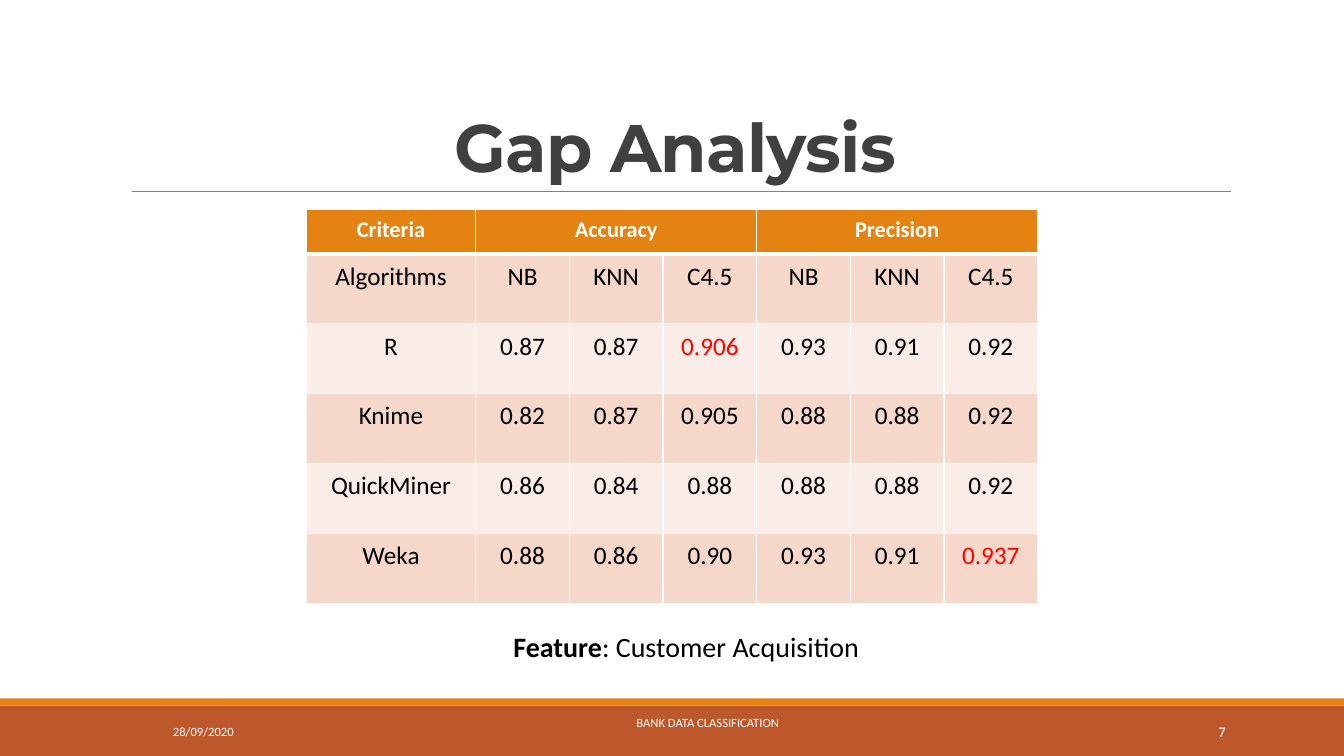
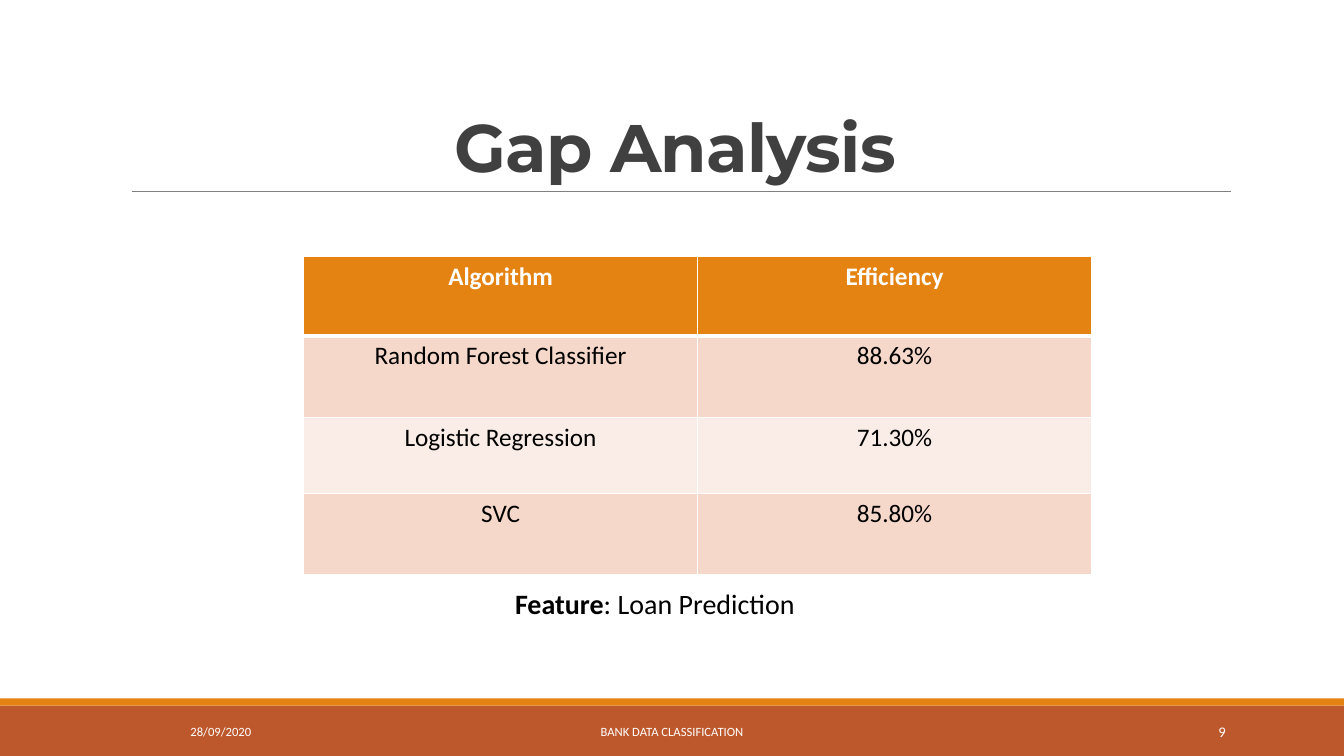
import dataclasses

import pptx
import pptx.dml.color
import pptx.enum.shapes
import pptx.enum.text
import pptx.util
from lxml import etree

Cm = pptx.util.Cm
Pt = pptx.util.Pt
Align = pptx.enum.text.PP_ALIGN
Anchor = pptx.enum.text.MSO_ANCHOR
DRAWING = "http://schemas.openxmlformats.org/drawingml/2006/main"


@dataclasses.dataclass(frozen=True)
class Theme:
    body_font: str = "Calibri"
    title_font: str = "Montserrat"
    white: str = "FFFFFF"
    black: str = "000000"
    title: str = "404040"
    rule: str = "808080"
    band: str = "BD582C"
    accent: str = "E48312"
    row_dark: str = "F5D8CA"
    row_light: str = "FAECE6"
    highlight: str = "FF0000"
    title_size: float = 48
    note_size: float = 20
    cell_size: float = 18
    number_size: float = 10.5
    footer_size: float = 9


THEME = Theme()
WIDTH, HEIGHT = 33.87, 19.05
TITLE = "Gap Analysis"
FOOTER = "BANK DATA CLASSIFICATION"
DATE = "28/09/2020"

PAGES = [
    {
        "number": "7",
        "feature": "Customer Acquisition",
        "feature_at": (3.2, 15.9),
        "date_left": 4.11,
        "footer_at": (9.91, 17.7, 15.85),
        "table_at": (7.72, 5.28),
        "columns": [4.27] + [2.36] * 6,
        "heights": [1.12] + [1.76] * 5,
        "header_size": 16,
        "line_spacing": 1.07,
        "merges": [(1, 3), (4, 6)],
        "highlights": {(2, 3), (5, 6)},
        "rows": [
            ("Criteria", "Accuracy", "", "", "Precision", "", ""),
            ("Algorithms", "NB", "KNN", "C4.5", "NB", "KNN", "C4.5"),
            ("R", "0.87", "0.87", "0.906", "0.93", "0.91", "0.92"),
            ("Knime", "0.82", "0.87", "0.905", "0.88", "0.88", "0.92"),
            ("QuickMiner", "0.86", "0.84", "0.88", "0.88", "0.88", "0.92"),
            ("Weka", "0.88", "0.86", "0.90", "0.93", "0.91", "0.937"),
        ],
    },
    {
        "number": "9",
        "feature": "Loan Prediction",
        "feature_at": (2.41, 14.81),
        "date_left": 4.55,
        "footer_at": (10.24, 17.93, 13.39),
        "table_at": (7.65, 6.45),
        "columns": [9.93] * 2,
        "heights": [2.01, 2.06, 1.91, 2.06],
        "header_size": 18,
        "line_spacing": 1.0,
        "merges": [],
        "highlights": set(),
        "rows": [
            ("Algorithm", "Efficiency"),
            ("Random Forest Classifier", "88.63%"),
            ("Logistic Regression", "71.30%"),
            ("SVC", "85.80%"),
        ],
    },
]


def rgb(value):
    return pptx.dml.color.RGBColor.from_string(value)


def add_span(para, text, size, color, bold=False, font=THEME.body_font):
    span = para.add_run()
    span.text = text
    span.font.name = font
    span.font.size = Pt(size)
    span.font.bold = bold
    span.font.color.rgb = rgb(color)
    return span


def add_box(page, left, top, width, height, align, anchor=Anchor.MIDDLE):
    box = page.shapes.add_textbox(Cm(left), Cm(top), Cm(width), Cm(height))
    frame = box.text_frame
    frame.word_wrap = True
    frame.vertical_anchor = anchor
    para = frame.paragraphs[0]
    para.alignment = align
    return box, para


def add_band(page, top, height, color):
    band = page.shapes.add_shape(
        pptx.enum.shapes.MSO_SHAPE.RECTANGLE, 0, Cm(top), Cm(WIDTH), Cm(height)
    )
    band.shadow.inherit = False
    band.fill.solid()
    band.fill.fore_color.rgb = rgb(color)
    band.line.fill.background()


def add_frame(page, data):
    add_band(page, 17.78, 1.27, THEME.band)
    add_band(page, 17.6, 0.18, THEME.accent)

    rule = page.shapes.add_connector(
        pptx.enum.shapes.MSO_CONNECTOR.STRAIGHT, Cm(3.33), Cm(4.83), Cm(31.01), Cm(4.83)
    )
    rule.line.color.rgb = rgb(THEME.rule)
    rule.line.width = Pt(0.5)
    etree.SubElement(rule._element.spPr, f"{{{DRAWING}}}effectLst")

    box, para = add_box(page, 3.05, 0.79, 27.94, 4.04, Align.CENTER, Anchor.BOTTOM)
    para.line_spacing = 0.85
    span = add_span(para, TITLE, THEME.title_size, THEME.title, True, THEME.title_font)
    span._r.get_or_add_rPr().set("spc", "-50")

    left, top, width = data["footer_at"]
    footers = [
        (DATE, data["date_left"], 17.93, 5.79, Align.LEFT, THEME.footer_size),
        (FOOTER, left, top, width, Align.CENTER, THEME.footer_size),
        (data["number"], 27.51, 17.93, 3.63, Align.RIGHT, THEME.number_size),
    ]
    for text, left, top, width, align, size in footers:
        box, para = add_box(page, left, top, width, 1.02, align)
        add_span(para, text, size, THEME.white)


def add_feature(page, data):
    left, top = data["feature_at"]
    box, para = add_box(page, left, top, 27.94, 1.02, Align.CENTER, Anchor.TOP)
    box.text_frame.margin_left = Cm(0.25)
    box.text_frame.margin_right = 0
    para.line_spacing = 0.8
    add_span(para, "Feature", THEME.note_size, THEME.black, True)
    add_span(para, ": " + data["feature"], THEME.note_size, THEME.black)


def set_borders(cell, row):
    widths = {"lnL": 1, "lnR": 1, "lnT": 3 if row == 1 else 1, "lnB": 3 if row == 0 else 1}
    properties = cell._tc.get_or_add_tcPr()
    for side, width in widths.items():
        line = etree.SubElement(properties, f"{{{DRAWING}}}{side}", w=str(Pt(width)))
        fill = etree.SubElement(line, f"{{{DRAWING}}}solidFill")
        etree.SubElement(fill, f"{{{DRAWING}}}srgbClr", val=THEME.white)


def cell_style(data, row, column):
    if row == 0:
        return THEME.accent, data["header_size"], THEME.white
    fill = THEME.row_dark if row % 2 else THEME.row_light
    color = THEME.highlight if (row, column) in data["highlights"] else THEME.black
    return fill, THEME.cell_size, color


def add_grid(page, data):
    rows, columns, heights = data["rows"], data["columns"], data["heights"]
    left, top = data["table_at"]
    table = page.shapes.add_table(
        len(rows), len(columns), Cm(left), Cm(top), Cm(sum(columns)), Cm(sum(heights))
    ).table
    for column, width in enumerate(columns):
        table.columns[column].width = Cm(width)
    for row, texts in enumerate(rows):
        table.rows[row].height = Cm(heights[row])
        for column, text in enumerate(texts):
            cell = table.cell(row, column)
            fill, size, color = cell_style(data, row, column)
            set_borders(cell, row)
            cell.fill.solid()
            cell.fill.fore_color.rgb = rgb(fill)
            if text:
                para = cell.text_frame.paragraphs[0]
                para.alignment = Align.CENTER
                para.line_spacing = data["line_spacing"]
                add_span(para, text, size, color, row == 0)
    for first, last in data["merges"]:
        table.cell(0, first).merge(table.cell(0, last))


def main():
    deck = pptx.Presentation()
    deck.slide_width = Cm(WIDTH)
    deck.slide_height = Cm(HEIGHT)
    for data in PAGES:
        page = deck.slides.add_slide(deck.slide_layouts[6])
        add_frame(page, data)
        add_grid(page, data)
        add_feature(page, data)
    deck.save("out.pptx")


if __name__ == "__main__":
    main()
